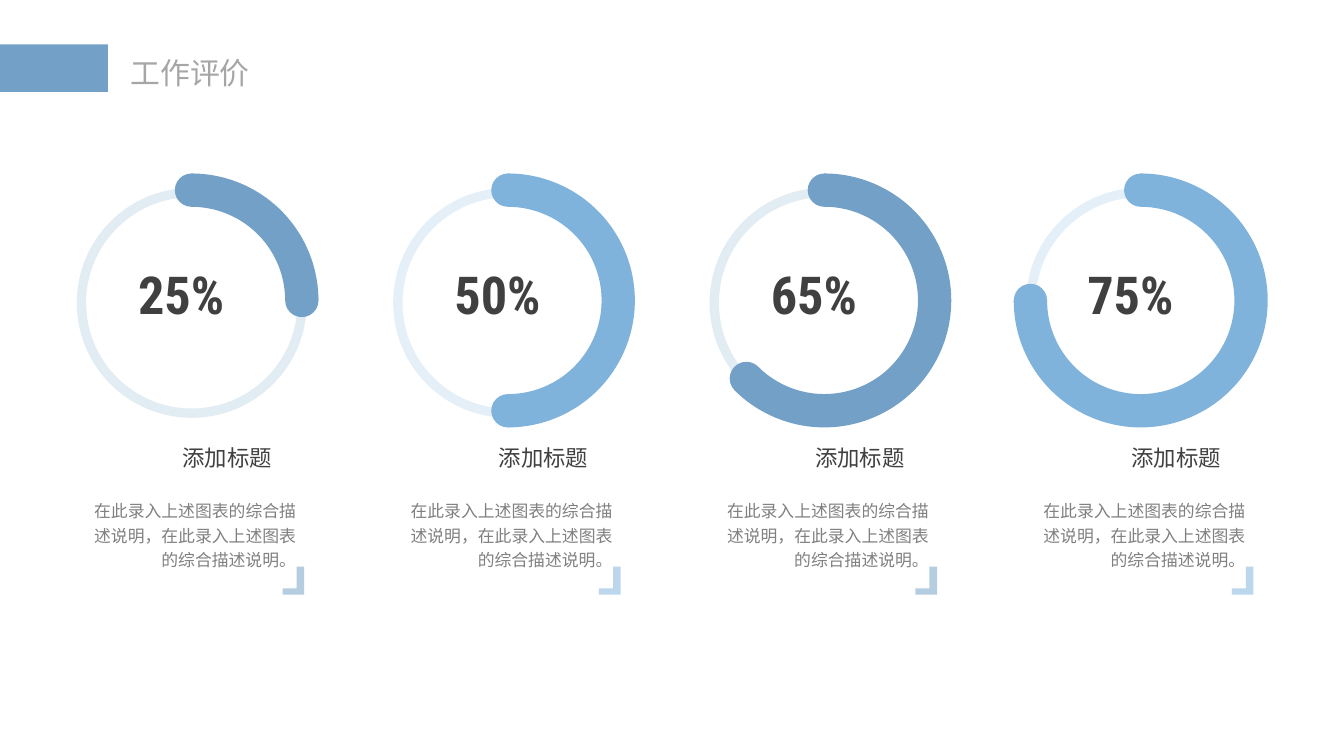
import math

from lxml import etree
from pptx import Presentation
from pptx.dml.color import RGBColor
from pptx.enum import shapes, text
from pptx.oxml import ns
from pptx.util import Cm, Pt

CJK, LATIN = "Noto Sans CJK SC", "Roboto Condensed"
STEEL, SKY = "72A0C6", "7FB3DB"
DARK, GREY, PALE = "404040", "808080", "A6A6A6"

# percentage, drawn sweep in degrees, colour
GAUGES = [("25%", 90, STEEL), ("50%", 180, SKY), ("65%", 225, STEEL), ("75%", 270, SKY)]
LABEL = "添加标题"
DESCRIPTION = "在此录入上述图表的综合描述说明，在此录入上述图表的综合描述说明。"

COLUMN_LEFT, COLUMN_TOP, COLUMN_PITCH = 1.22, 3.28, 5.98
RING, BAND = 4.8, 0.63


def paint(fill, colour, opacity=100):
    fill.solid()
    fill.fore_color.rgb = RGBColor.from_string(colour)
    if opacity < 100:
        solid = fill._xPr.find(ns.qn("a:solidFill"))
        etree.SubElement(solid[0], ns.qn("a:alpha"), val=str(opacity * 1000))


def add_solid(page, kind, left, top, width, height, colour, opacity=100):
    shape = page.shapes.add_shape(kind, Cm(left), Cm(top), Cm(width), Cm(height))
    shape.shadow.inherit = False
    shape.line.fill.background()
    paint(shape.fill, colour, opacity)
    return shape


def write(frame, words, size, colour, font=CJK, align=text.PP_ALIGN.LEFT,
          bold=False, wrap=False, spacing=None):
    frame.word_wrap = wrap
    frame.auto_size = text.MSO_AUTO_SIZE.SHAPE_TO_FIT_TEXT
    frame.vertical_anchor = text.MSO_ANCHOR.TOP
    para = frame.paragraphs[0]
    para.alignment = align
    para.line_spacing = spacing
    span = para.add_run()
    span.text = words
    span.font.size = Pt(size)
    span.font.bold = bold
    span.font.name = font
    span.font.color.rgb = RGBColor.from_string(colour)
    east_asian = etree.SubElement(span.font._element, ns.qn("a:ea"))
    east_asian.set("typeface", font)


def add_text(page, left, top, width, height, *content, **style):
    box = page.shapes.add_textbox(Cm(left), Cm(top), Cm(width), Cm(height))
    write(box.text_frame, *content, **style)


def add_header(page, left, top):
    add_solid(page, shapes.MSO_SHAPE.RECTANGLE, left, top, 2.04, 0.9, STEEL)
    title = page.shapes.title
    title.left, title.top = Cm(left + 2.26), Cm(top + 0.1)
    title.width, title.height = Cm(2.67), Cm(0.89)
    frame = title.text_frame
    frame.margin_left = frame.margin_right = Cm(0.2)
    frame.margin_top = frame.margin_bottom = Cm(0.1)
    write(frame, "工作评价", 16, PALE, align=text.PP_ALIGN.CENTER)


def add_ring(page, left, top, sweep, colour):
    """Pale track with a thick arc that runs clockwise from the top, with round ends."""
    track = page.shapes.add_shape(shapes.MSO_SHAPE.OVAL, Cm(left + 0.32), Cm(top + 0.36),
                                  Cm(4.17), Cm(4.17))
    track.shadow.inherit = False
    track.fill.background()
    track.line.width = Pt(5)
    paint(track.line.fill, colour, 20)

    arc = add_solid(page, shapes.MSO_SHAPE.BLOCK_ARC, left, top, RING, RING, colour)
    # Angle adjustments count 0.6 per degree, clockwise from the right.
    arc.adjustments[0] = 270 * 0.6
    arc.adjustments[1] = (270 + sweep) % 360 * 0.6
    arc.adjustments[2] = BAND / RING

    radius = (RING - BAND) / 2
    for angle in (0, sweep):
        cap_left = left + radius * (1 + math.sin(math.radians(angle)))
        cap_top = top + radius * (1 - math.cos(math.radians(angle)))
        add_solid(page, shapes.MSO_SHAPE.OVAL, cap_left, cap_top, BAND, BAND, colour)


def add_gauge(page, left, top, percent, sweep, colour):
    add_ring(page, left, top, sweep, colour)
    add_text(page, left + 1.14, top + 1.55, 2.51, 1.45, percent, 28, DARK,
             font=LATIN, bold=True)
    add_text(page, left + 1.93, top + 5, 2.24, 0.76, LABEL, 12, DARK,
             align=text.PP_ALIGN.RIGHT)
    add_text(page, left + 0.23, top + 5.99, 4.39, 1.65, DESCRIPTION, 9, GREY,
             align=text.PP_ALIGN.RIGHT, wrap=True, spacing=1.2)
    corner = add_solid(page, shapes.MSO_SHAPE.CORNER, left + 4.06, top + 7.49,
                       0.53, 0.41, colour, opacity=52)
    corner.rotation = 270
    corner.adjustments[0], corner.adjustments[1] = 0.35, 0.29


def main():
    deck = Presentation()
    deck.slide_width, deck.slide_height = Cm(25.4), Cm(14.29)
    page = deck.slides.add_slide(deck.slide_layouts[5])
    add_header(page, 0, 0.84)
    for column, gauge in enumerate(GAUGES):
        add_gauge(page, COLUMN_LEFT + column * COLUMN_PITCH, COLUMN_TOP, *gauge)
    deck.save("out.pptx")


if __name__ == "__main__":
    main()
